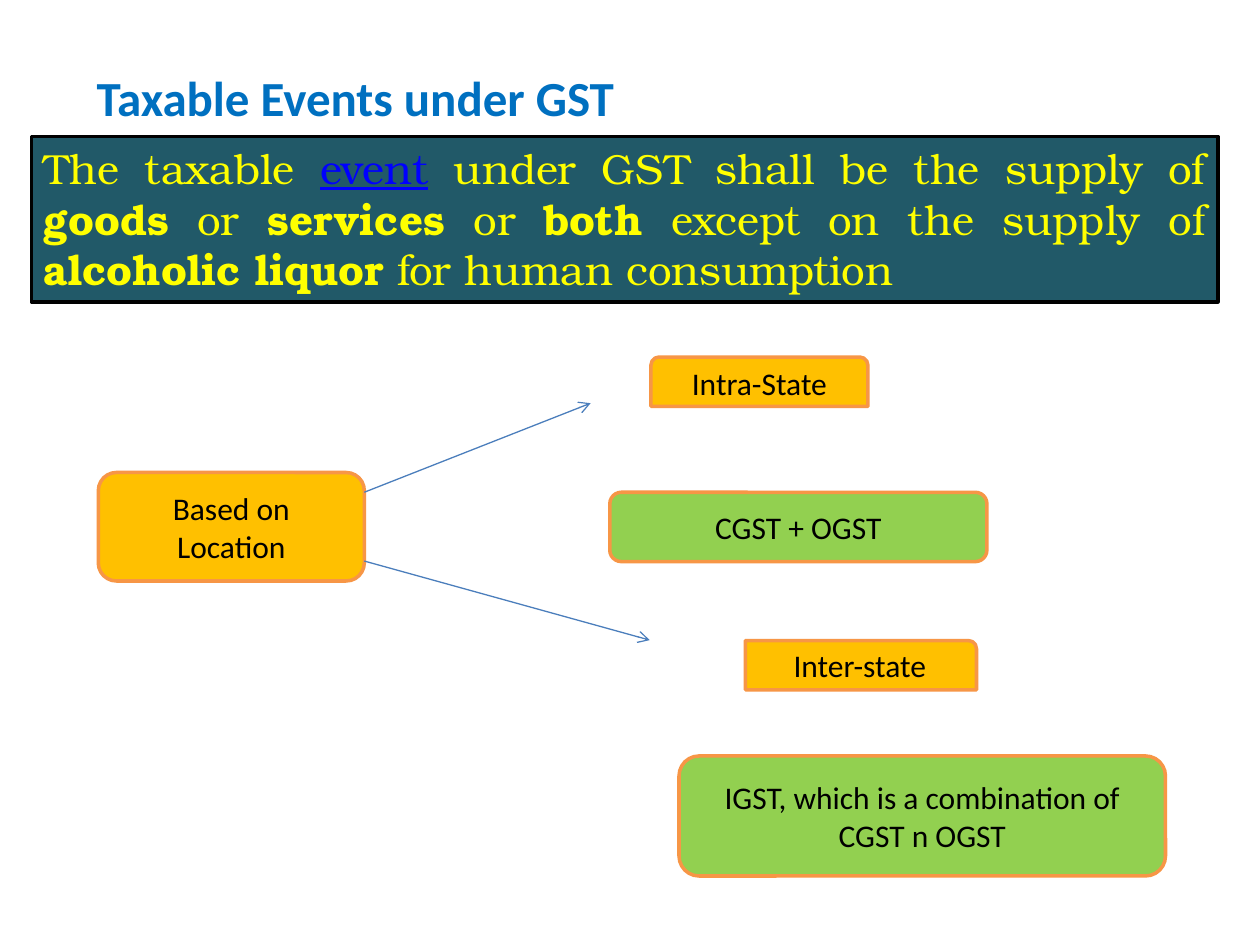
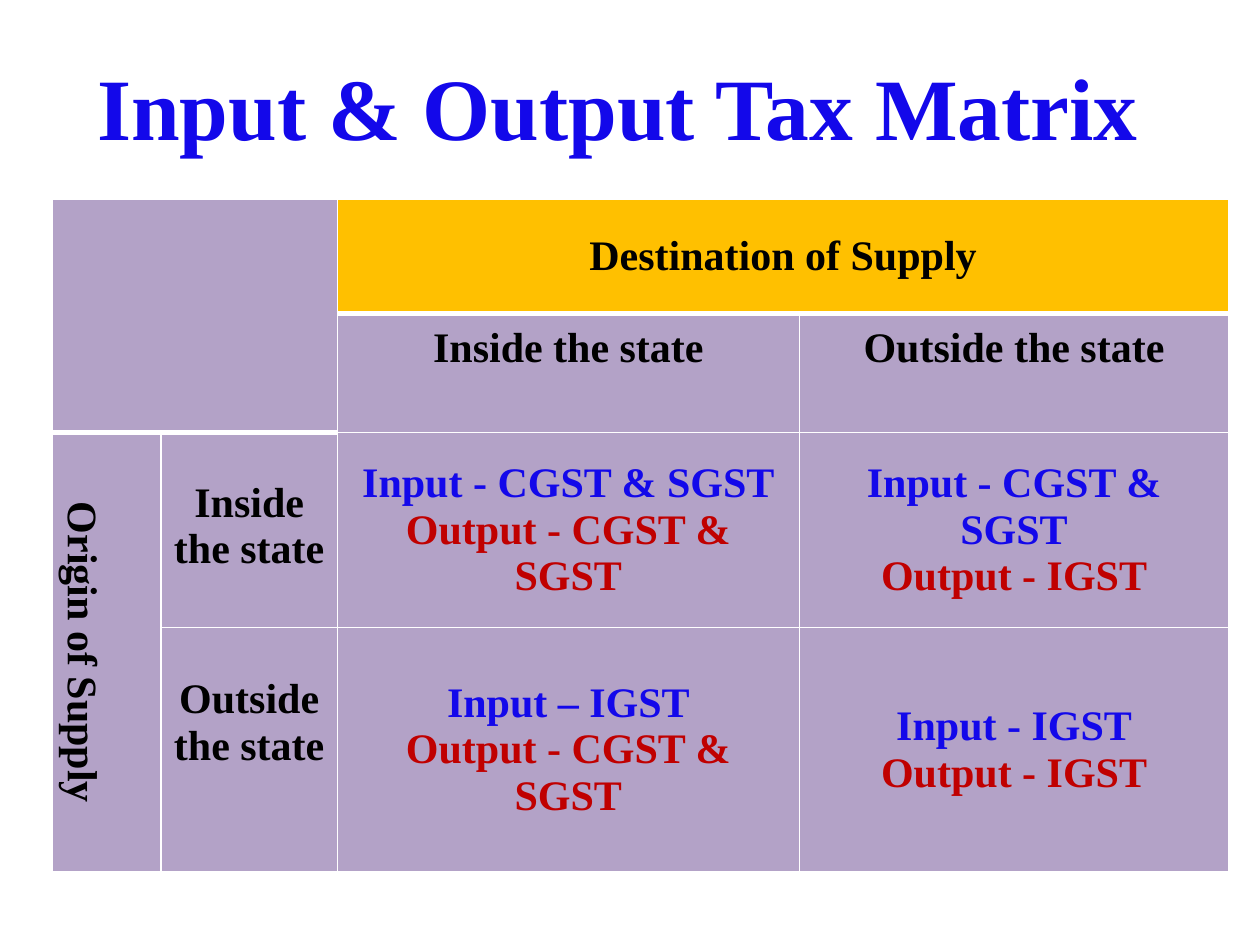
from dataclasses import dataclass

from lxml import etree
from pptx import Presentation
from pptx.dml.color import RGBColor
from pptx.enum.shapes import MSO_CONNECTOR, MSO_SHAPE
from pptx.enum.text import MSO_ANCHOR, MSO_AUTO_SIZE, PP_ALIGN
from pptx.oxml.ns import qn
from pptx.util import Pt

RECTANGLE = MSO_SHAPE.RECTANGLE
ROUNDED = MSO_SHAPE.ROUNDED_RECTANGLE
ROUND_TOP = MSO_SHAPE.ROUND_2_SAME_RECTANGLE
ROUND_CORNER = MSO_SHAPE.ROUND_1_RECTANGLE
STRAIGHT = MSO_CONNECTOR.STRAIGHT
LEFT, CENTER, JUSTIFY = PP_ALIGN.LEFT, PP_ALIGN.CENTER, PP_ALIGN.JUSTIFY
TOP, MIDDLE, BOTTOM = MSO_ANCHOR.TOP, MSO_ANCHOR.MIDDLE, MSO_ANCHOR.BOTTOM
FIXED_SIZE = MSO_AUTO_SIZE.NONE

BLACK = RGBColor(0x00, 0x00, 0x00)
WHITE = RGBColor(0xFF, 0xFF, 0xFF)
SKY = RGBColor(0x00, 0x70, 0xC0)
TEAL = RGBColor(0x21, 0x59, 0x68)
YELLOW = RGBColor(0xFF, 0xFF, 0x00)
LINK_BLUE = RGBColor(0x00, 0x00, 0xFF)
GOLD = RGBColor(0xFF, 0xC0, 0x00)
GREEN = RGBColor(0x92, 0xD0, 0x50)
ORANGE = RGBColor(0xF7, 0x96, 0x46)
ARROW_BLUE = RGBColor(0x4B, 0x7E, 0xBC)
INPUT_BLUE = RGBColor(0x13, 0x08, 0xEA)
OUTPUT_RED = RGBColor(0xC0, 0x00, 0x00)
LILAC = RGBColor(0xB3, 0xA2, 0xC7)

SANS, SERIF, BOOK = "Calibri", "Times New Roman", "TeX Gyre Bonum"
TITLE_ONLY = 5
CELL_MARGIN = 3.6
TABLE_LINE = 27.6


@dataclass(frozen=True)
class Box:
    text: str
    kind: int
    left: float
    top: float
    width: float
    height: float
    fill: RGBColor


@dataclass(frozen=True)
class Arrow:
    start_x: float
    start_y: float
    end_x: float
    end_y: float


@dataclass(frozen=True)
class Entry:
    row: int
    column: int
    lines: tuple
    anchor: int = MIDDLE
    lines_below: int = 0


BOXES = (
    Box("Based on Location", ROUNDED, 56.2, 270, 152, 62, GOLD),
    Box("CGST + OGST", ROUNDED, 348.5, 281.3, 215.5, 39.6, GREEN),
    Box("Intra-State", ROUND_TOP, 372, 204, 124, 28.2, GOLD),
    Box("Inter-state", ROUND_CORNER, 426, 366, 132, 28.2, GOLD),
    Box("IGST, which is a combination of CGST n OGST", ROUNDED,
        388, 432, 278, 68.6, GREEN),
)

ARROWS = (Arrow(208.2, 281.3, 337.5, 230.4), Arrow(208.2, 320.6, 371.3, 365.8))

STATEMENT = (
    ("The taxable ", {}),
    ("event", {"color": LINK_BLUE, "underline": True}),
    (" under GST shall be the supply of ", {}),
    ("goods", {"bold": True}),
    (" or ", {}),
    ("services", {"bold": True}),
    (" or ", {}),
    ("both", {"bold": True}),
    (" except on the supply of ", {}),
    ("alcoholic liquor", {"bold": True}),
    (" for human consumption", {}),
)

COLUMN_WIDTHS = (62, 100.8, 264, 245.4)
ROW_HEIGHTS = (65, 68.2, 111.4, 139.8)
MERGES = ((0, 0, 1, 1), (0, 2, 0, 3), (2, 0, 3, 0))
ORIGIN = (2, 0)
DESTINATION = (0, 2)


def tax_lines(input_text: str, output_text: str) -> tuple:
    return ((input_text, INPUT_BLUE), (output_text, OUTPUT_RED))


def heading(text: str) -> tuple:
    return ((text, BLACK),)


LOCAL_OUTPUT = "Output - CGST & SGST"
ENTRIES = (
    Entry(*DESTINATION, heading("Destination of Supply")),
    Entry(1, 2, heading("Inside the state"), lines_below=1),
    Entry(1, 3, heading("Outside the state"), lines_below=1),
    Entry(*ORIGIN, heading("Origin of Supply")),
    Entry(2, 1, heading("Inside the state"), BOTTOM, 1),
    Entry(3, 1, heading("Outside the state"), BOTTOM, 2),
    Entry(2, 2, tax_lines("Input - CGST & SGST", LOCAL_OUTPUT)),
    Entry(2, 3, tax_lines("Input - CGST & SGST", "Output - IGST")),
    Entry(3, 2, tax_lines("Input – IGST", LOCAL_OUTPUT)),
    Entry(3, 3, tax_lines("Input - IGST", "Output - IGST")),
)


def add_span(para, text: str, *, font: str, size: float, color: RGBColor,
             bold: bool = False, underline: bool = False) -> None:
    span = para.add_run()
    span.text = text
    span.font.name = font
    span.font.size = Pt(size)
    span.font.color.rgb = color
    span.font.bold = bold
    span.font.underline = underline


def add_titled_page(deck, text: str, left: float, top: float, width: float,
                    height: float, *, align: int, **style):
    page = deck.slides.add_slide(deck.slide_layouts[TITLE_ONLY])
    title = page.shapes.title
    title.left, title.top = Pt(left), Pt(top)
    title.width, title.height = Pt(width), Pt(height)
    frame = title.text_frame
    frame.word_wrap = True
    frame.auto_size = FIXED_SIZE
    frame.vertical_anchor = TOP
    frame.margin_top = Pt(8.6)
    para = frame.paragraphs[0]
    para.alignment = align
    add_span(para, text, bold=True, **style)
    return page


def add_box(page, box: Box, line: RGBColor, anchor: int, align: int):
    shape = page.shapes.add_shape(box.kind, Pt(box.left), Pt(box.top),
                                  Pt(box.width), Pt(box.height))
    shape.shadow.inherit = False
    shape.fill.solid()
    shape.fill.fore_color.rgb = box.fill
    shape.line.color.rgb = line
    shape.line.width = Pt(2)
    frame = shape.text_frame
    frame.word_wrap = True
    frame.vertical_anchor = anchor
    frame.paragraphs[0].alignment = align
    return frame.paragraphs[0]


def add_arrow(page, arrow: Arrow) -> None:
    connector = page.shapes.add_connector(
        STRAIGHT, Pt(arrow.start_x), Pt(arrow.start_y),
        Pt(arrow.end_x), Pt(arrow.end_y))
    connector.line.color.rgb = ARROW_BLUE
    connector.line.width = Pt(0.75)
    properties = connector._element.spPr
    etree.SubElement(properties.find(qn("a:ln")), qn("a:tailEnd"), type="arrow")
    etree.SubElement(properties, qn("a:effectLst"))


def add_border(cell, side: str, width: float) -> None:
    properties = cell._tc.get_or_add_tcPr()
    line = etree.SubElement(properties, qn(f"a:ln{side}"), w=str(int(Pt(width))))
    fill = etree.SubElement(line, qn("a:solidFill"))
    etree.SubElement(fill, qn("a:srgbClr"), val=str(WHITE))


def format_cell(cell, row: int, column: int) -> None:
    last_heading_row = 1 if column < 2 else 0
    add_border(cell, "L", 1)
    add_border(cell, "R", 1)
    add_border(cell, "T", 3 if row == last_heading_row + 1 else 1)
    add_border(cell, "B", 3 if row <= last_heading_row else 1)
    cell.fill.solid()
    cell.fill.fore_color.rgb = GOLD if row == 0 and column >= 2 else LILAC


def write_entry(cell, entry: Entry) -> None:
    cell.vertical_anchor = entry.anchor
    cell.margin_bottom = Pt(CELL_MARGIN + entry.lines_below * TABLE_LINE)
    frame = cell.text_frame
    for index, (text, color) in enumerate(entry.lines):
        para = frame.add_paragraph() if index else frame.paragraphs[0]
        para.alignment = CENTER
        add_span(para, text, font=SERIF, size=24, color=color, bold=True)


def build_events_page(deck) -> None:
    page = add_titled_page(deck, "Taxable Events under GST", 48, 30, 534, 46,
                           align=LEFT, font=SANS, size=28, color=SKY)
    statement = Box("", RECTANGLE, 18, 78, 678, 94.5, TEAL)
    para = add_box(page, statement, BLACK, TOP, JUSTIFY)
    for text, changes in STATEMENT:
        style = {"font": BOOK, "size": 24, "color": YELLOW} | changes
        add_span(para, text, **style)
    for box in BOXES:
        para = add_box(page, box, ORANGE, MIDDLE, CENTER)
        add_span(para, box.text, font=SANS, size=18, color=BLACK)
    for arrow in ARROWS:
        add_arrow(page, arrow)


def build_matrix_page(deck) -> None:
    page = add_titled_page(deck, "Input & Output Tax Matrix", 22, 21.6, 662, 68.4,
                           align=CENTER, font=SERIF, size=50, color=INPUT_BLUE)
    table = page.shapes.add_table(
        len(ROW_HEIGHTS), len(COLUMN_WIDTHS), Pt(30), Pt(114),
        Pt(sum(COLUMN_WIDTHS)), Pt(sum(ROW_HEIGHTS))).table
    for column, width in zip(table.columns, COLUMN_WIDTHS):
        column.width = Pt(width)
    for row, height in zip(table.rows, ROW_HEIGHTS):
        row.height = Pt(height)
    for row in range(len(ROW_HEIGHTS)):
        for column in range(len(COLUMN_WIDTHS)):
            format_cell(table.cell(row, column), row, column)
    for top, left, bottom, right in MERGES:
        table.cell(top, left).merge(table.cell(bottom, right))
    for entry in ENTRIES:
        write_entry(table.cell(entry.row, entry.column), entry)
    table.cell(*ORIGIN)._tc.get_or_add_tcPr().set("vert", "vert")


def main() -> None:
    deck = Presentation()
    deck.slide_width, deck.slide_height = Pt(720), Pt(540)
    build_events_page(deck)
    build_matrix_page(deck)
    deck.save("out.pptx")


if __name__ == "__main__":
    main()
